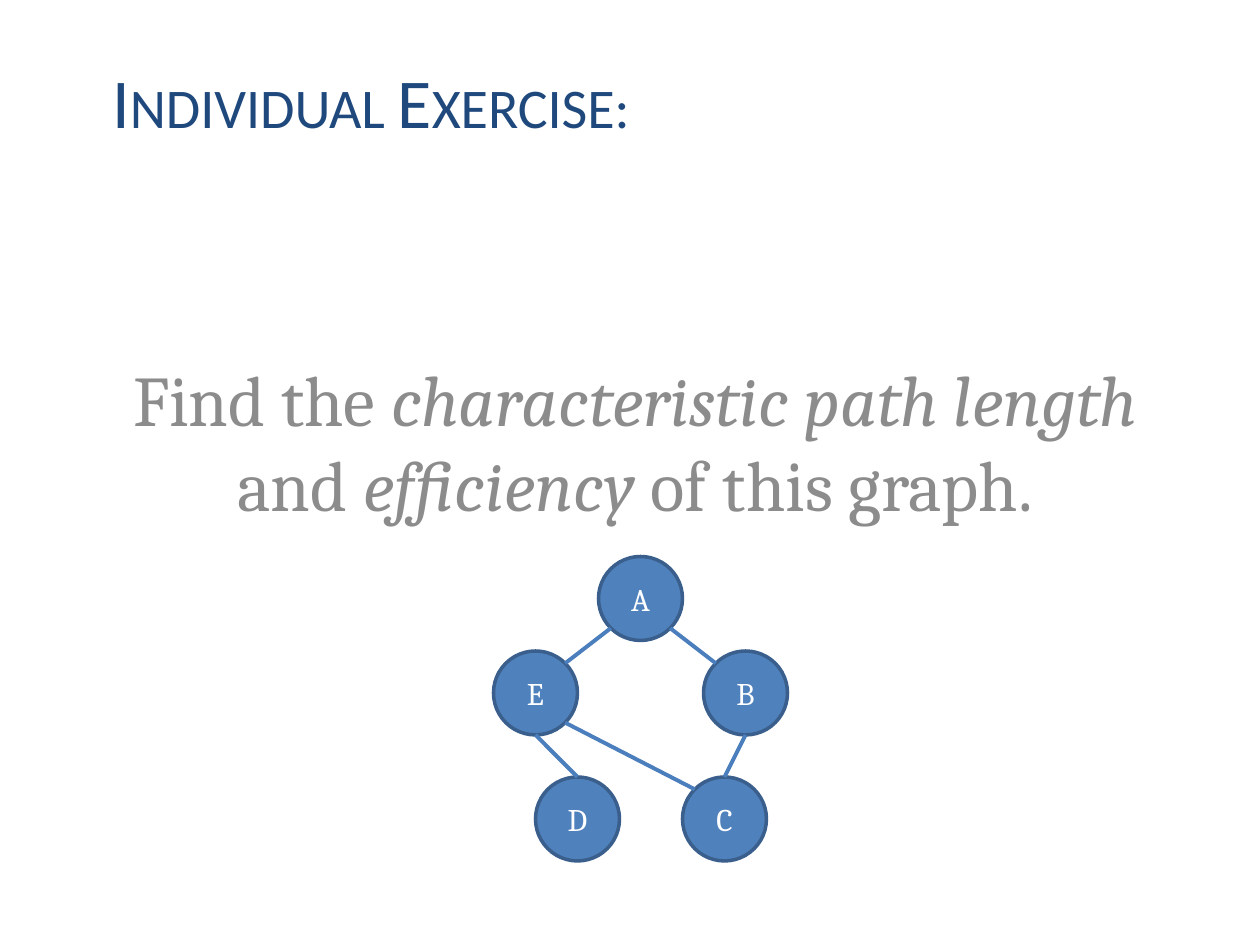
import math

import pptx
import pptx.dml.color
import pptx.enum.shapes
import pptx.enum.text
import pptx.oxml.ns
import pptx.util
from lxml import etree

Pt = pptx.util.Pt
RGBColor = pptx.dml.color.RGBColor
ANCHOR = pptx.enum.text.MSO_ANCHOR
ALIGN = pptx.enum.text.PP_ALIGN

NAVY = RGBColor(0x1F, 0x49, 0x7D)
GREY = RGBColor(0x8C, 0x8C, 0x8C)
WHITE = RGBColor(0xFF, 0xFF, 0xFF)
NODE_FILL = RGBColor(0x4F, 0x81, 0xBD)
NODE_LINE = RGBColor(0x3A, 0x5F, 0x8C)
EDGE_LINE = RGBColor(0x4B, 0x7E, 0xBC)

LEFT, WIDTH = 57, 612
RADIUS = 24

# Node centres
NODES = {"A": (366, 342), "B": (426, 396), "C": (414, 468),
         "D": (330, 468), "E": (306, 396)}

# Each end is a node and the compass direction in which the edge leaves it
EDGES = [("E", "NE", "A", "SW"), ("B", "NW", "A", "SE"), ("B", "S", "C", "N"),
         ("E", "SE", "C", "NW"), ("D", "N", "E", "S")]
ANGLES = {"N": -90, "NE": -45, "SE": 45, "S": 90, "SW": 135, "NW": -135}

TASK = [("Find the ", False), ("characteristic path length", True),
        (" and ", False), ("efficiency", True), (" of this graph.", False)]


def style(paragraph, name, size, color, align):
    paragraph.alignment = align
    paragraph.font.name = name
    paragraph.font.size = Pt(size)
    paragraph.font.color.rgb = color


def add_title(slide, text):
    title = slide.shapes.title
    title.left, title.top = Pt(LEFT), Pt(30)
    title.width, title.height = Pt(WIDTH), Pt(138)
    frame = title.text_frame
    frame.text = text
    frame.vertical_anchor = ANCHOR.TOP
    heading = frame.paragraphs[0]
    style(heading, "Calibri", 40, NAVY, ALIGN.LEFT)
    heading.runs[0].font._element.set("cap", "small")


def add_task(slide, parts):
    box = slide.shapes.add_textbox(Pt(LEFT), Pt(186), Pt(WIDTH), Pt(118))
    frame = box.text_frame
    frame.word_wrap = True
    frame.vertical_anchor = ANCHOR.BOTTOM
    sentence = frame.paragraphs[0]
    style(sentence, "Cambria", 40.7, GREY, ALIGN.CENTER)
    for text, italic in parts:
        run = sentence.add_run()
        run.text = text
        run.font.italic = italic


def add_node(slide, label, center):
    x, y = center
    node = slide.shapes.add_shape(
        pptx.enum.shapes.MSO_SHAPE.OVAL,
        Pt(x - RADIUS), Pt(y - RADIUS), Pt(2 * RADIUS), Pt(2 * RADIUS))
    node.shadow.inherit = False
    node.fill.solid()
    node.fill.fore_color.rgb = NODE_FILL
    node.line.color.rgb = NODE_LINE
    node.line.width = Pt(2)
    frame = node.text_frame
    frame.text = label
    frame.vertical_anchor = ANCHOR.MIDDLE
    style(frame.paragraphs[0], "Cambria", 18, WHITE, ALIGN.CENTER)


def rim_point(label, direction):
    x, y = NODES[label]
    angle = math.radians(ANGLES[direction])
    return Pt(x + RADIUS * math.cos(angle)), Pt(y + RADIUS * math.sin(angle))


def add_edge(slide, start, start_side, end, end_side):
    edge = slide.shapes.add_connector(
        pptx.enum.shapes.MSO_CONNECTOR.STRAIGHT,
        *rim_point(start, start_side), *rim_point(end, end_side))
    edge.line.color.rgb = EDGE_LINE
    edge.line.width = Pt(2.25)
    etree.SubElement(edge._element.spPr, pptx.oxml.ns.qn("a:effectLst"))


def main():
    deck = pptx.Presentation()
    deck.slide_width, deck.slide_height = Pt(720), Pt(540)
    slide = deck.slides.add_slide(deck.slide_layouts[5])

    # Heading and task
    add_title(slide, "Individual Exercise:")
    add_task(slide, TASK)

    # Graph
    for label, center in NODES.items():
        add_node(slide, label, center)
    for edge in EDGES:
        add_edge(slide, *edge)

    deck.save("out.pptx")


if __name__ == "__main__":
    main()
